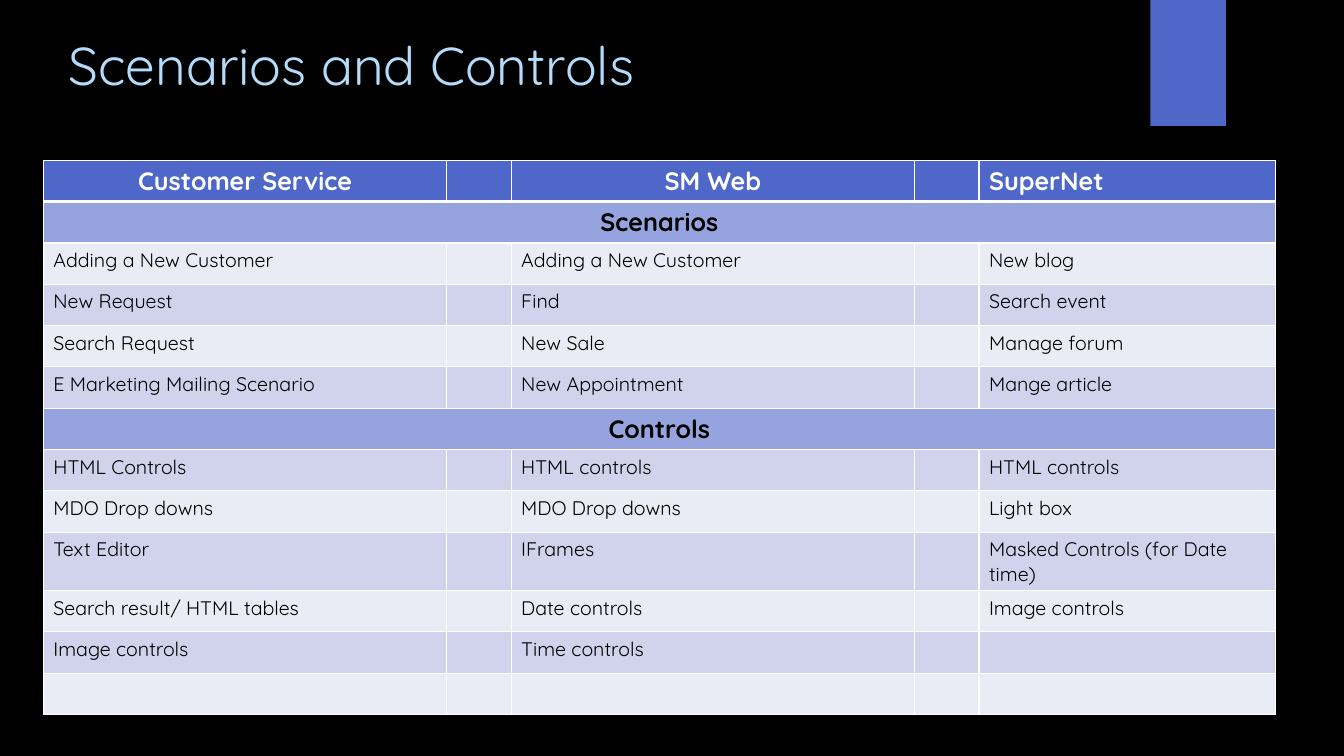
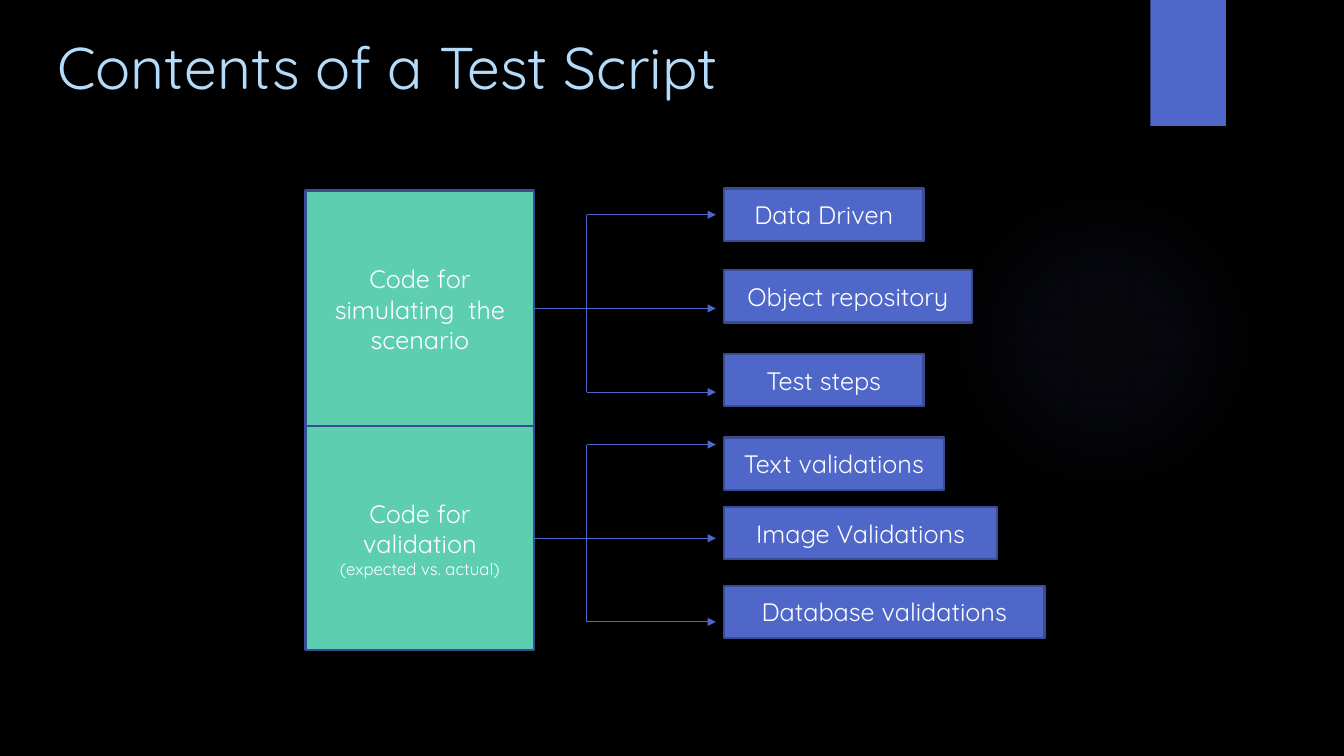
import pptx
import pptx.util
import pptx.oxml
import pptx.oxml.ns
import pptx.dml.color
import pptx.enum.shapes
import pptx.enum.text

Inches, Pt = pptx.util.Inches, pptx.util.Pt
SHAPE = pptx.enum.shapes.MSO_SHAPE
CENTER, LEFT = pptx.enum.text.PP_ALIGN.CENTER, pptx.enum.text.PP_ALIGN.LEFT
TOP = pptx.enum.text.MSO_ANCHOR.TOP

# Shared style
FONT = "Quicksand"
COLORS = {
    "background": "000000", "accent": "4E67C8", "glow": "5968B0",
    "title": "B4DCFA", "section": "95A4DE", "light": "E9EBF5",
    "dark": "D0D3EB", "code": "5DCEAF", "edge": "3A4C94",
    "white": "FFFFFF", "black": "000000",
}
GLOW_STOPS = [(0, 7), (36, 6), (69, 0)]  # position and opacity, percent

# Content: scenarios table
SCENARIOS = {
    "title": ("Scenarios and Controls", 38, (0.58, 0.27, 10.29, 0.63)),
    "systems": [("Customer Service", CENTER), ("SM Web", CENTER), ("SuperNet", LEFT)],
    "sections": [
        ("Scenarios", [
            ("Adding a New Customer", "Adding a New Customer", "New blog"),
            ("New Request", "Find", "Search event"),
            ("Search Request", "New Sale", "Manage forum"),
            ("E Marketing Mailing Scenario", "New Appointment", "Mange article"),
        ]),
        ("Controls", [
            ("HTML Controls", "HTML controls", "HTML controls"),
            ("MDO Drop downs", "MDO Drop downs", "Light box"),
            ("Text Editor", "IFrames", "Masked Controls (for Date time)"),
            ("Search result/ HTML tables", "Date controls", "Image controls"),
            ("Image controls", "Time controls", ""),
            ("", "", ""),
        ]),
    ],
}
TABLE_LEFT, TABLE_TOP = 0.43, 1.59
COLUMN_WIDTHS = [4, 0.64, 4, 0.64, 2.94]
ROW_HEIGHT, TALL_ROW_HEIGHT, TALL_ROW = 0.41, 0.58, 9

# Content: test script diagram
SCRIPT_TITLE = ("Contents of a Test Script", 42, (0.47, 0.26, 10.29, 0.77))
CODE_LEFT, CODE_WIDTH = 3.03, 2.27
PART_LEFT, PART_HEIGHT = 7.18, 0.52
TRUNK_X, ARROW_END = 5.82, 7.1
BRANCH_OFFSETS = (-0.93, 0, 0.83)
CODE_BLOCKS = [
    {"text": [("Code for simulating  the scenario", 18)],
     "top": 1.89, "height": 2.35, "axis": 3.06,
     "parts": [("Data Driven", 1.87, 1.98), ("Object repository", 2.68, 2.46),
               ("Test steps", 3.51, 1.98)]},
    {"text": [("Code for validation", 18), ("(expected vs. actual)", 12)],
     "top": 4.23, "height": 2.22, "axis": 5.34,
     "parts": [("Text validations", 4.34, 2.18), ("Image Validations", 5.03, 2.71),
               ("Database validations", 5.81, 3.18)]},
]


def rgb(name):
    return pptx.dml.color.RGBColor.from_string(COLORS[name])


def apply(target, values):
    for attribute, value in values.items():
        setattr(target, attribute, value)


def xml(tag, body, attributes=""):
    return pptx.oxml.parse_xml(
        f'<a:{tag} {pptx.oxml.ns.nsdecls("a")} {attributes}>{body}</a:{tag}>')


def paint(fill, color):
    fill.solid()
    fill.fore_color.rgb = rgb(color)


def write(frame, lines, color, align=CENTER, bold=False):
    for index, (text, size) in enumerate(lines):
        paragraph = frame.add_paragraph() if index else frame.paragraphs[0]
        paragraph.alignment = align
        run = paragraph.add_run()
        run.text = text
        apply(run.font, {"name": FONT, "size": Pt(size), "bold": bold})
        run.font.color.rgb = rgb(color)


def add_block(slide, box, fill, edge=None, kind=SHAPE.RECTANGLE):
    block = slide.shapes.add_shape(kind, *map(Inches, box))
    block.shadow.inherit = False
    paint(block.fill, fill)
    if edge:
        block.line.width = Pt(1.5)
        block.line.color.rgb = rgb(edge)
    else:
        block.line.fill.background()
    return block


def start_slide(deck, title):
    slide = deck.slides.add_slide(deck.slide_layouts[6])
    # Faint glow and top band
    glow = add_block(slide, (9.41, 1.83, 3.08, 3.08), "glow", kind=SHAPE.OVAL)
    stops = "".join(
        f'<a:gs pos="{position * 1000}"><a:srgbClr val="{COLORS["glow"]}">'
        f'<a:alpha val="{opacity * 1000}"/></a:srgbClr></a:gs>'
        for position, opacity in GLOW_STOPS)
    gradient = xml("gradFill", f'<a:gsLst>{stops}</a:gsLst><a:path path="circle">'
                   '<a:fillToRect l="50000" t="50000" r="50000" b="50000"/></a:path>')
    properties = glow.element.spPr
    properties.replace(properties.find(pptx.oxml.ns.qn("a:solidFill")), gradient)
    add_block(slide, (11.41, 0, 0.75, 1.25), "accent")
    # Title
    text, size, box = title
    frame = slide.shapes.add_textbox(*map(Inches, box)).text_frame
    apply(frame, {"word_wrap": True, "vertical_anchor": TOP})
    write(frame, [(text, size)], "title", LEFT)
    return slide


def style_cell(cell, fill, top=1, bottom=1):
    paint(cell.fill, fill)
    properties = cell._tc.get_or_add_tcPr()
    widths = {"lnL": 1, "lnR": 1, "lnT": top, "lnB": bottom}
    for index, (side, width) in enumerate(widths.items()):
        line = f'<a:solidFill><a:srgbClr val="{COLORS["white"]}"/></a:solidFill>'
        properties.insert(index, xml(side, line, f'w="{Pt(width)}"'))


def build_scenarios(deck):
    slide = start_slide(deck, SCENARIOS["title"])
    row_total = 1 + sum(1 + len(rows) for _, rows in SCENARIOS["sections"])
    heights = [TALL_ROW_HEIGHT if row == TALL_ROW else ROW_HEIGHT
               for row in range(row_total)]
    table = slide.shapes.add_table(
        row_total, len(COLUMN_WIDTHS),
        *map(Inches, (TABLE_LEFT, TABLE_TOP, sum(COLUMN_WIDTHS), sum(heights)))).table
    for column, width in zip(table.columns, COLUMN_WIDTHS):
        column.width = Inches(width)
    for row, height in zip(table.rows, heights):
        row.height = Inches(height)

    # Header
    for cell in table.rows[0].cells:
        style_cell(cell, "accent", bottom=3)
    for index, (system, align) in enumerate(SCENARIOS["systems"]):
        write(table.cell(0, 2 * index).text_frame, [(system, 18)], "white", align, True)

    # Sections, with stripes that alternate by table row
    row = 1
    for section, entries in SCENARIOS["sections"]:
        for cell in table.rows[row].cells:
            style_cell(cell, "section", top=3 if row == 1 else 1)
        table.cell(row, 0).merge(table.cell(row, len(COLUMN_WIDTHS) - 1))
        write(table.cell(row, 0).text_frame, [(section, 18)], "black", bold=True)
        for row, entry in enumerate(entries, row + 1):
            for cell in table.rows[row].cells:
                style_cell(cell, "dark" if row % 2 else "light")
            for index, text in enumerate(entry):
                if text:
                    write(table.cell(row, 2 * index).text_frame, [(text, 14)],
                          "black", LEFT)
        row += 1


def add_line(slide, start, end, arrow=False):
    line = slide.shapes.add_connector(
        pptx.enum.shapes.MSO_CONNECTOR.STRAIGHT, *map(Inches, (*start, *end)))
    line.line.width = Pt(0.75)
    line.line.color.rgb = rgb("accent")
    if arrow:
        line.line._get_or_add_ln().append(xml("tailEnd", "", 'type="triangle"'))
    line.element.spPr.append(xml("effectLst", ""))


def build_script_contents(deck):
    slide = start_slide(deck, SCRIPT_TITLE)
    for code in CODE_BLOCKS:
        # Code block and its parts
        block = add_block(slide, (CODE_LEFT, code["top"], CODE_WIDTH, code["height"]),
                          "code", "edge")
        write(block.text_frame, code["text"], "white")
        for text, top, width in code["parts"]:
            part = add_block(slide, (PART_LEFT, top, width, PART_HEIGHT), "accent", "edge")
            write(part.text_frame, [(text, 18)], "white")
        # Stem, trunk and branches
        axis = code["axis"]
        levels = [axis + offset for offset in BRANCH_OFFSETS]
        add_line(slide, (CODE_LEFT + CODE_WIDTH, axis), (TRUNK_X, axis))
        add_line(slide, (TRUNK_X, levels[0]), (TRUNK_X, levels[-1]))
        for level in levels:
            add_line(slide, (TRUNK_X, level), (ARROW_END, level), arrow=True)


def main():
    deck = pptx.Presentation()
    apply(deck, {"slide_width": Inches(13.33), "slide_height": Inches(7.5)})
    paint(deck.slide_master.background.fill, "background")
    build_scenarios(deck)
    build_script_contents(deck)
    deck.save("out.pptx")


if __name__ == "__main__":
    main()
